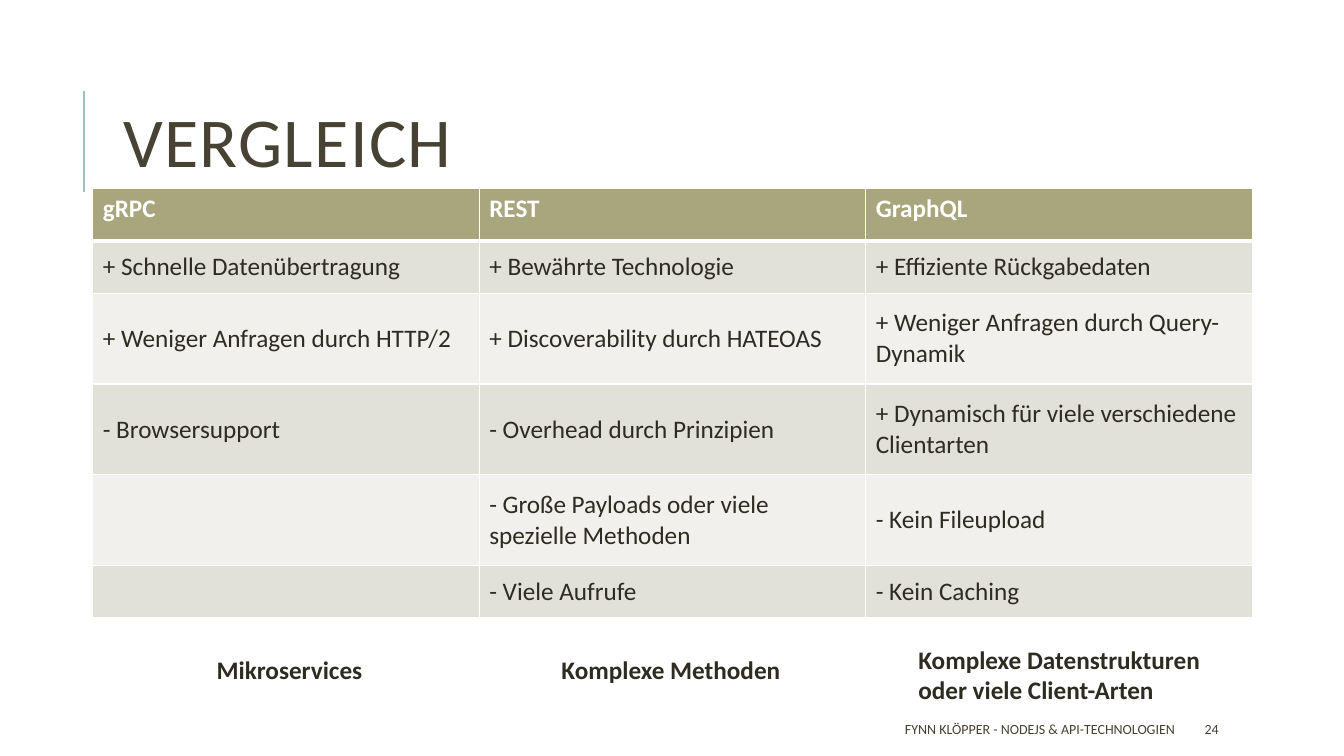
"""Builds a slide that compares three API technologies in a table."""
from lxml.etree import SubElement
from pptx import Presentation
from pptx.dml.color import RGBColor
from pptx.enum.shapes import MSO_CONNECTOR
from pptx.enum.text import MSO_ANCHOR, PP_ALIGN
from pptx.oxml.ns import qn
from pptx.util import Inches, Pt

FONT = "Calibri"
COLORS = {
    "white": "FFFFFF",
    "accent": "9CBEBD",
    "heading": "474233",
    "body": "2E2B21",
    "header": "A9A57C",
    "dark_band": "E2E1D7",
    "light_band": "F1F0EC",
}
ROW_HEIGHTS = [0.52, 0.52, 0.9, 0.9, 0.9, 0.52]
COMPARISON = [
    ["gRPC", "REST", "GraphQL"],
    ["+ Schnelle Datenübertragung", "+ Bewährte Technologie", "+ Effiziente Rückgabedaten"],
    ["+ Weniger Anfragen durch HTTP/2", "+ Discoverability durch HATEOAS",
     "+ Weniger Anfragen durch Query-Dynamik"],
    ["- Browsersupport", "- Overhead durch Prinzipien",
     "+ Dynamisch für viele verschiedene Clientarten"],
    ["", "- Große Payloads oder viele spezielle Methoden", "- Kein Fileupload"],
    ["", "- Viele Aufrufe", "- Kein Caching"],
]
USE_CASES = [
    (["Mikroservices"], (2.05, 6.44, 1.66, 0.4)),
    (["Komplexe Methoden"], (5.47, 6.44, 2.39, 0.4)),
    (["Komplexe Datenstrukturen", "oder viele Client-Arten"], (9.01, 6.34, 3.02, 0.71)),
]


def rgb(name):
    """Return the named colour."""
    return RGBColor.from_string(COLORS[name])


def add_run(paragraph, text, size, color, bold=False):
    """Add a formatted run to a paragraph and return it."""
    run = paragraph.add_run()
    run.text = text
    run.font.name = FONT
    run.font.size = Pt(size)
    run.font.bold = bold
    run.font.color.rgb = rgb(color)
    return run


def add_title(slide, text):
    """Place and format the title placeholder."""
    title = slide.shapes.title
    title.left, title.top = Inches(1.12), Inches(0.64)
    title.width, title.height = Inches(10.63), Inches(1.64)
    title.text_frame.vertical_anchor = MSO_ANCHOR.MIDDLE
    paragraph = title.text_frame.paragraphs[0]
    paragraph.alignment = PP_ALIGN.LEFT
    paragraph.line_spacing = 0.8
    run = add_run(paragraph, text, 50, "heading")
    run.font._element.set("spc", "100")


def add_accent_line(slide):
    """Draw the vertical line beside the title."""
    line = slide.shapes.add_connector(
        MSO_CONNECTOR.STRAIGHT, Inches(0.83), Inches(1.9), Inches(0.83), Inches(0.9))
    line.line.color.rgb = rgb("accent")
    line.line.width = Pt(1.5)
    SubElement(line._element.spPr, qn("a:effectLst"))


def set_borders(cell, widths):
    """Give a cell white borders, with widths in points by side."""
    properties = cell._tc.get_or_add_tcPr()
    for position, (side, width) in enumerate(widths.items()):
        border = properties.makeelement(qn(f"a:ln{side}"), {"w": str(Pt(width))})
        fill = SubElement(border, qn("a:solidFill"))
        SubElement(fill, qn("a:srgbClr"), val=COLORS["white"])
        properties.insert(position, border)


def format_cell(cell, text, row_index):
    """Fill a cell with text, colour and borders that suit its row."""
    is_header = row_index == 0
    band = "dark_band" if row_index % 2 else "light_band"
    cell.fill.solid()
    cell.fill.fore_color.rgb = rgb("header" if is_header else band)
    cell.vertical_anchor = MSO_ANCHOR.TOP if is_header else MSO_ANCHOR.MIDDLE
    set_borders(cell, {"L": 1, "R": 1, "T": 3 if row_index == 1 else 1,
                       "B": 3 if is_header else 1})
    if text:
        add_run(cell.text_frame.paragraphs[0], text, 18,
                "white" if is_header else "body", bold=is_header)


def add_comparison_table(slide):
    """Add the table of advantages and drawbacks."""
    table = slide.shapes.add_table(
        len(COMPARISON), len(COMPARISON[0]), Inches(0.92), Inches(1.87),
        Inches(11.5), Inches(sum(ROW_HEIGHTS))).table
    for row_index, (height, texts) in enumerate(zip(ROW_HEIGHTS, COMPARISON)):
        table.rows[row_index].height = Inches(height)
        for column_index, text in enumerate(texts):
            format_cell(table.cell(row_index, column_index), text, row_index)


def add_text(slide, lines, box, size, color, bold=False, wrap=False,
             anchor=MSO_ANCHOR.TOP, alignment=PP_ALIGN.LEFT):
    """Add a text box with one paragraph of one or more lines."""
    frame = slide.shapes.add_textbox(*map(Inches, box)).text_frame
    frame.word_wrap = wrap
    frame.vertical_anchor = anchor
    paragraph = frame.paragraphs[0]
    paragraph.alignment = alignment
    for index, line in enumerate(lines):
        if index:
            paragraph.add_line_break()
        add_run(paragraph, line, size, color, bold)


def add_footer(slide, text, number):
    """Add the footer text and the slide number."""
    add_text(slide, [number], (11.85, 7.08, 1.06, 0.3), 10, "heading",
             wrap=True, anchor=MSO_ANCHOR.MIDDLE)
    add_text(slide, [text], (5.3, 7.08, 6.45, 0.3), 10, "heading",
             wrap=True, anchor=MSO_ANCHOR.MIDDLE, alignment=PP_ALIGN.RIGHT)


def main():
    """Build and save the presentation."""
    presentation = Presentation()
    presentation.slide_width = Inches(13.33)
    presentation.slide_height = Inches(7.5)
    slide = presentation.slides.add_slide(presentation.slide_layouts[5])
    add_accent_line(slide)
    add_title(slide, "VERGLEICH")
    add_comparison_table(slide)
    for lines, box in USE_CASES:
        add_text(slide, lines, box, 18, "body", bold=True)
    add_footer(slide, "FYNN KLÖPPER - NODEJS & API-TECHNOLOGIEN", "24")
    presentation.save("out.pptx")


if __name__ == "__main__":
    main()
